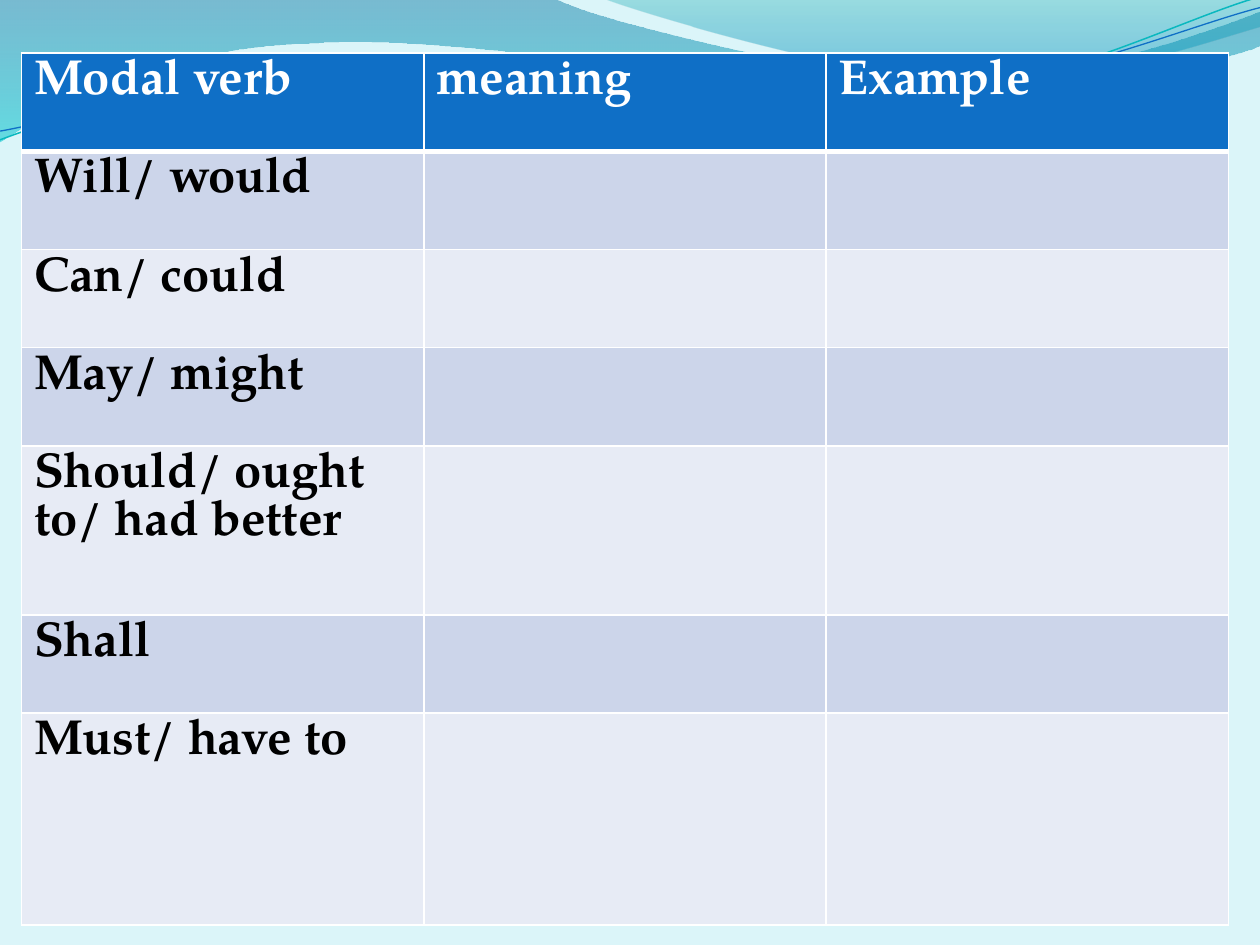
from math import cos, radians, sin

from lxml import etree
from pptx import Presentation
from pptx.dml.color import RGBColor
from pptx.oxml import parse_xml
from pptx.oxml.ns import nsdecls, qn
from pptx.util import Emu, Pt

PX = 9144  # 100 px to the inch
FONT = "TeX Gyre Pagella"
PALE_AQUA = RGBColor(0xDB, 0xF5, 0xF9)
OCEAN = RGBColor(0x00, 0x74, 0xA1)
TURQUOISE = RGBColor(0x00, 0xC6, 0xCF)
TEAL = RGBColor(0x00, 0xA1, 0xA9)
AZURE = RGBColor(0x00, 0x8B, 0xBF)
CYAN = RGBColor(0x0A, 0xB8, 0xBF)
BLUE = RGBColor(0x0F, 0x6F, 0xC6)
BAND_DARK = RGBColor(0xCC, 0xD5, 0xEA)
BAND_LIGHT = RGBColor(0xE7, 0xEB, 0xF5)
WHITE = RGBColor(0xFF, 0xFF, 0xFF)
BLACK = RGBColor(0x00, 0x00, 0x00)

deck = Presentation()
deck.slide_width, deck.slide_height = Emu(1000 * PX), Emu(750 * PX)
page = deck.slides.add_slide(deck.slide_layouts[6])
page.background.fill.solid()
page.background.fill.fore_color.rgb = PALE_AQUA


def add_wave(segments, close, turn=0, center=(0, 0)):
    """Draw straight (2 numbers) and Bezier (6 numbers) segments as one outline."""
    points = [pair for segment in segments for pair in zip(segment[::2], segment[1::2])]
    # Lay the points out level, so that the shape's own rotation tilts them back
    c, s = cos(radians(-turn)), sin(radians(-turn))
    cx, cy = center
    points = [(round((cx + (x - cx) * c - (y - cy) * s) * PX),
               round((cy + (x - cx) * s + (y - cy) * c) * PX)) for x, y in points]
    builder = page.shapes.build_freeform(*points[0], scale=1.0)
    builder.add_line_segments(points[1:], close=close)
    wave = builder.convert_to_shape()
    wave.shadow.inherit = False
    wave.rotation = turn
    # Join each three lines of a Bezier segment into one curve
    lines = iter(list(wave._element.spPr.iter(qn("a:lnTo"))))
    for segment in segments[1:]:
        line = next(lines)
        if len(segment) == 6:
            line.tag = qn("a:cubicBezTo")
            for _ in range(2):
                extra = next(lines)
                line.append(extra[0])
                extra.getparent().remove(extra)
    return wave


def add_border(cell, side, width):
    """Give one side of a cell a white line; sides come in schema order."""
    cell._tc.get_or_add_tcPr().append(parse_xml(
        f'<a:ln{side} {nsdecls("a")} w="{Pt(width)}"><a:solidFill>'
        f'<a:srgbClr val="{WHITE}"/></a:solidFill></a:ln{side}>'))


# Translucent waves across the top: outline, then (colour, position, opacity %)
waves = [
    ([(0, 0), (440, -1), (476, 17, 664, 63, 758, 63), (853, 63, 958, 26, 1000, 9),
      (1001, 36), (983, 44, 870, 76, 746, 75), (622, 75, 382, 28, 257, 34),
      (129, 36, 46, 83, -1, 113)],
     [(OCEAN, 0, 45), (TURQUOISE, 1, 55)]),
    ([(479, -1), (509, 11, 682, 62, 769, 65), (856, 69, 961, 32, 1000, 21), (1000, 0)],
     [(TEAL, 0, 30), (AZURE, 0.8, 45)]),
]
for outline, stops in waves:
    wave = add_wave(outline, True)
    wave.line.fill.background()
    wave.fill.gradient()
    wave.fill.gradient_angle = 270
    for stop, (color, position, _) in zip(wave.fill.gradient_stops, stops):
        stop.color.rgb = color
        stop.position = position
    tints = wave._element.spPr.iter(qn("a:srgbClr"))
    for tint, (_, _, opacity) in zip(tints, stops):
        etree.SubElement(tint, qn("a:alpha")).set("val", str(opacity * 1000))

# Thin curved lines along the waves, grouped
outlines = [
    ([(0, 111), (48, 93, 158, 57, 277, 52), (395, 47, 593, 89, 713, 80),
      (833, 71, 938, 15, 998, -2)], CYAN, 0.85, (499, 57)),
    ([(0, 104), (47, 96, 164, 61, 283, 56), (403, 51, 597, 84, 717, 75),
      (836, 67, 941, 21, 1000, 6)], BLUE, 0.75, (499, 59)),
]
curves = []
for outline, color, width, center in outlines:
    curve = add_wave(outline, False, 357.3, center)
    curve.fill.background()
    curve.line.color.rgb = color
    curve.line.width = Pt(width)
    curves.append(curve)
page.shapes.add_group_shape(curves)

# Table of modal verbs, with two columns left to fill in
rows = [
    (78, ["Modal verb", "meaning", "Example"]),
    (78, ["Will/ would"]),
    (78, ["Can/ could"]),
    (78, ["May/ might"]),
    (134, ["Should/ ought to/ had better"]),
    (78, ["Shall"]),
    (168, ["Must/ have to"]),
]
frame = page.shapes.add_table(len(rows), 3, 17 * PX, 42 * PX, 958 * PX, 692 * PX)
table = frame.table
for index, (height, texts) in enumerate(rows):
    table.rows[index].height = Emu(height * PX)
    header = index == 0
    for cell in table.rows[index].cells:
        for side in ("L", "R", "T", "B") if header else ("L", "R", "B"):
            add_border(cell, side, 3 if header and side == "B" else 1)
        cell.fill.solid()
        cell.fill.fore_color.rgb = BLUE if header else BAND_DARK if index % 2 else BAND_LIGHT
    for cell, text in zip(table.rows[index].cells, texts):
        span = cell.text_frame.paragraphs[0].add_run()
        span.text = text
        span.font.name = FONT
        span.font.size = Pt(28)
        span.font.bold = True
        span.font.color.rgb = WHITE if header else BLACK

deck.save("out.pptx")
